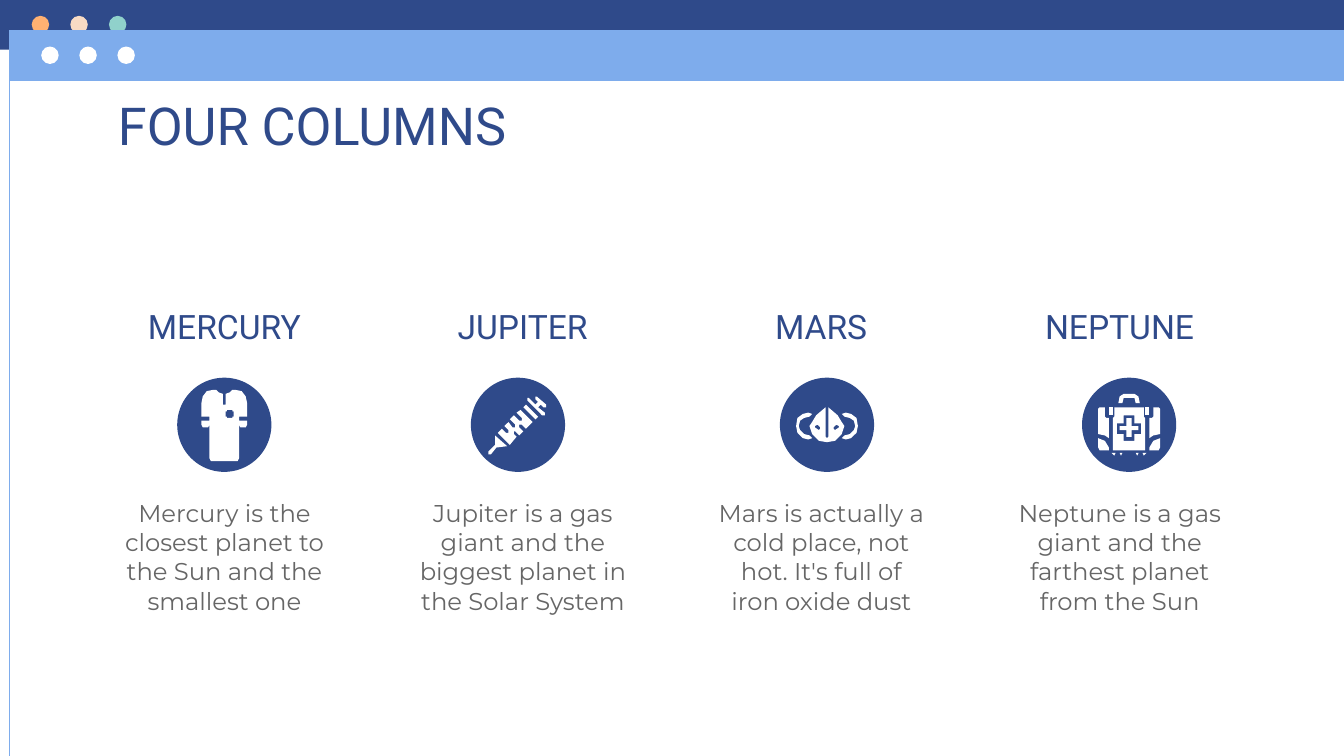
from lxml.etree import SubElement
from pptx import Presentation
from pptx.dml.color import RGBColor
from pptx.enum.shapes import MSO_CONNECTOR, MSO_SHAPE
from pptx.enum.text import MSO_ANCHOR, MSO_AUTO_SIZE, PP_ALIGN
from pptx.oxml.ns import qn
from pptx.util import Cm, Pt

COLORS = {
    "navy": "2F4A8A", "sky": "7EACEC", "white": "FFFFFF", "gray": "666666",
    "orange": "FFB172", "peach": "F8DBC4", "mint": "90D1CB",
}
HEAD_FONT, BODY_FONT = "Roboto", "Montserrat"
DISC_SIZE = 1.78
ICON_UNIT = Cm(0.0254)  # icons are drawn on a grid of 70 units per disc


def mirror(points):
    """Reflect points across the vertical middle of the icon grid."""
    return [(70 - x, y) for x, y in points]


def symmetric(half):
    """Close a right half outline with its mirrored left half."""
    return half + mirror(half)[::-1]


def both_sides(points):
    return [[points], [mirror(points)]]


def cross(x, y, reach, arm):
    return [(x - arm, y - reach), (x + arm, y - reach), (x + arm, y - arm),
            (x + reach, y - arm), (x + reach, y + arm), (x + arm, y + arm),
            (x + arm, y + reach), (x - arm, y + reach), (x - arm, y + arm),
            (x - reach, y + arm), (x - reach, y - arm), (x - arm, y - arm)]


# Each icon is a list of shapes, each shape a list of contours; inner ones are holes.
COAT = [[
    symmetric([(35, 20), (36, 19.5), (36.5, 18.5), (36.5, 12), (39, 11), (41, 9),
               (43, 9), (48, 10.5), (51, 14), (52, 19), (52, 29), (46, 29),
               (46, 32), (52, 32), (52, 35), (51, 37), (47, 37), (46, 35),
               (46, 60), (45, 61.5), (35, 61.5)]),
    cross(39, 27, 3.5, 1.8),
]]

SYRINGE = [
    [[(41, 20), (39, 22), (48, 31), (50, 29)]],
    [[(18, 43), (18, 50), (13, 55), (13, 57), (15, 57), (19, 52), (27, 51)]],
    [[(37, 24), (34, 26), (38, 30), (38, 32), (36, 32), (32, 28), (29, 31),
      (33, 35), (33, 37), (31, 37), (28, 33), (25, 36), (28, 39), (28, 41),
      (26, 41), (23, 38), (20, 41), (29, 50), (34, 44), (32, 42), (32, 40),
      (33, 40), (36, 43), (39, 40), (36, 37), (36, 35), (38, 35), (41, 38),
      (46, 33)]],
    [[(49, 14), (48, 14), (48, 16), (50, 18), (48, 20), (43, 15), (42, 15),
      (42, 17), (53, 28), (55, 28), (55, 26), (50, 22), (52, 20), (54, 22),
      (56, 22), (56, 20)]],
]

SLIT = [(42, 35), (43.5, 35.5), (43.5, 37), (41, 39), (39.5, 38.5), (40, 37)]
MASK = both_sides(
    [(24, 27), (21, 26), (17, 27), (13, 30), (11.5, 36), (13, 41), (17, 45),
     (21, 46), (24, 45), (22, 43), (18, 42), (15, 39), (14, 36), (15, 32),
     (18, 29.5), (22, 29)]
) + [[
    symmetric([(35, 45), (36.3, 44), (36.5, 22), (43, 28), (46.5, 33),
               (47.5, 36), (46, 42), (41, 47), (35, 48)]),
    SLIT, mirror(SLIT),
]]

CASE = [
    [symmetric([(35, 12), (39, 12), (42, 14), (43, 19), (40, 19), (39, 15), (35, 15)])],
    [symmetric([(35, 22), (46, 22), (46, 29), (47, 30), (47, 53.5), (35, 53.5)]),
     cross(35, 37.5, 9.5, 4), cross(35, 37.5, 7, 1.7)],
    *both_sides([(53, 22), (53, 29), (52, 30), (50, 30), (50, 45), (53, 43),
                 (58, 42), (58, 23), (57, 22)]),
    *both_sides([(47, 22), (50, 22), (50, 27.5), (47, 27.5)]),
    *both_sides([(57.5, 45), (53, 47), (50, 52), (50, 53.5), (57, 53.5),
                 (58, 52.5), (58, 45)]),
    *both_sides([(39.5, 56), (42.5, 56), (41, 58)]),
    *both_sides([(45, 56), (48, 56), (46.5, 58)]),
]

COLUMNS = [  # heading, description, icon, left edge of the disc
    ("MERCURY", "Mercury is the closest planet to the Sun and the smallest one", COAT, 3.35),
    ("JUPITER", "Jupiter is a gas giant and the biggest planet in the Solar System", SYRINGE, 8.9),
    ("MARS", "Mars is actually a cold place, not hot. It's full of iron oxide dust", MASK, 14.74),
    ("NEPTUNE", "Neptune is a gas giant and the farthest planet from the Sun", CASE, 20.45),
]


class SlideBuilder:
    def __init__(self, page):
        self.page = page

    def paint(self, shape, color):
        shape.shadow.inherit = False
        shape.fill.solid()
        shape.fill.fore_color.rgb = RGBColor.from_string(COLORS[color])
        shape.line.fill.background()

    def shape(self, kind, left, top, width, height, color):
        shape = self.page.shapes.add_shape(kind, Cm(left), Cm(top), Cm(width), Cm(height))
        self.paint(shape, color)

    def dots(self, left, top, pitch, colors):
        for index, color in enumerate(colors):
            self.shape(MSO_SHAPE.OVAL, left + index * pitch, top, 0.33, 0.33, color)

    def line(self, x1, y1, x2, y2, color):
        line = self.page.shapes.add_connector(
            MSO_CONNECTOR.STRAIGHT, Cm(x1), Cm(y1), Cm(x2), Cm(y2))
        line.line.color.rgb = RGBColor.from_string(COLORS[color])
        line.line.width = Pt(0.75)
        SubElement(line._element.spPr, qn("a:effectLst"))

    def icon(self, icon, left, top):
        self.shape(MSO_SHAPE.OVAL, left, top, DISC_SIZE, DISC_SIZE, "navy")
        for first, *others in icon:
            builder = self.page.shapes.build_freeform(*first[0], scale=ICON_UNIT)
            builder.add_line_segments(first[1:])
            for contour in others:
                builder.move_to(*contour[0])
                builder.add_line_segments(contour[1:])
            self.paint(builder.convert_to_shape(Cm(left), Cm(top)), "white")

    def text(self, box, area, words, size, font, color, align=PP_ALIGN.CENTER):
        """Place a text box or placeholder and write one plain paragraph in it."""
        box.left, box.top, box.width, box.height = map(Cm, area)
        frame = box.text_frame
        frame.word_wrap = True
        frame.auto_size = MSO_AUTO_SIZE.NONE
        frame.vertical_anchor = MSO_ANCHOR.TOP
        frame.margin_left = frame.margin_right = Cm(0.25)
        frame.margin_top = frame.margin_bottom = Cm(0.25)
        paragraph = frame.paragraphs[0]
        paragraph.text = words
        properties = paragraph._p.get_or_add_pPr()
        properties.set("marL", "0")
        properties.set("indent", "0")
        SubElement(properties, qn("a:buNone"))
        paragraph.alignment = align
        paragraph.space_before = Pt(0)
        paragraph.font.name = font
        paragraph.font.size = Pt(size)
        paragraph.font.bold = False
        paragraph.font.color.rgb = RGBColor.from_string(COLORS[color])

    def heading(self, area, words):
        box = self.page.shapes.add_textbox(*map(Cm, area))
        self.text(box, area, words, 18, HEAD_FONT, "navy")


def main():
    deck = Presentation()
    deck.slide_width, deck.slide_height = Cm(25.4), Cm(14.29)
    page = deck.slides.add_slide(deck.slide_layouts.get_by_name("Comparison"))
    builder = SlideBuilder(page)

    builder.shape(MSO_SHAPE.RECTANGLE, 0, 0, 25.4, 0.94, "navy")
    builder.dots(0.6, 0.3, 0.73, ["orange", "peach", "mint"])
    builder.shape(MSO_SHAPE.RECTANGLE, 0.18, 0.57, 25.22, 0.96, "sky")
    builder.dots(0.78, 0.88, 0.72, ["white"] * 3)
    builder.line(0.18, 0.57, 0.18, 14.29, "sky")

    title, *bodies = page.placeholders
    builder.text(title, (1.98, 1.52, 21.44, 1.3), "FOUR COLUMNS", 28, HEAD_FONT,
                 "navy", PP_ALIGN.LEFT)
    for index, (body, column) in enumerate(zip(bodies, COLUMNS)):
        name, description, icon, disc_left = column
        left = 2.03 + index * 5.64
        builder.heading((left, 5.54, 4.42, 1.3), name)
        builder.text(body, (left, 9.17, 4.42, 2.51), description, 13, BODY_FONT, "gray")
        builder.icon(icon, disc_left, 7.14)

    deck.save("out.pptx")


if __name__ == "__main__":
    main()
